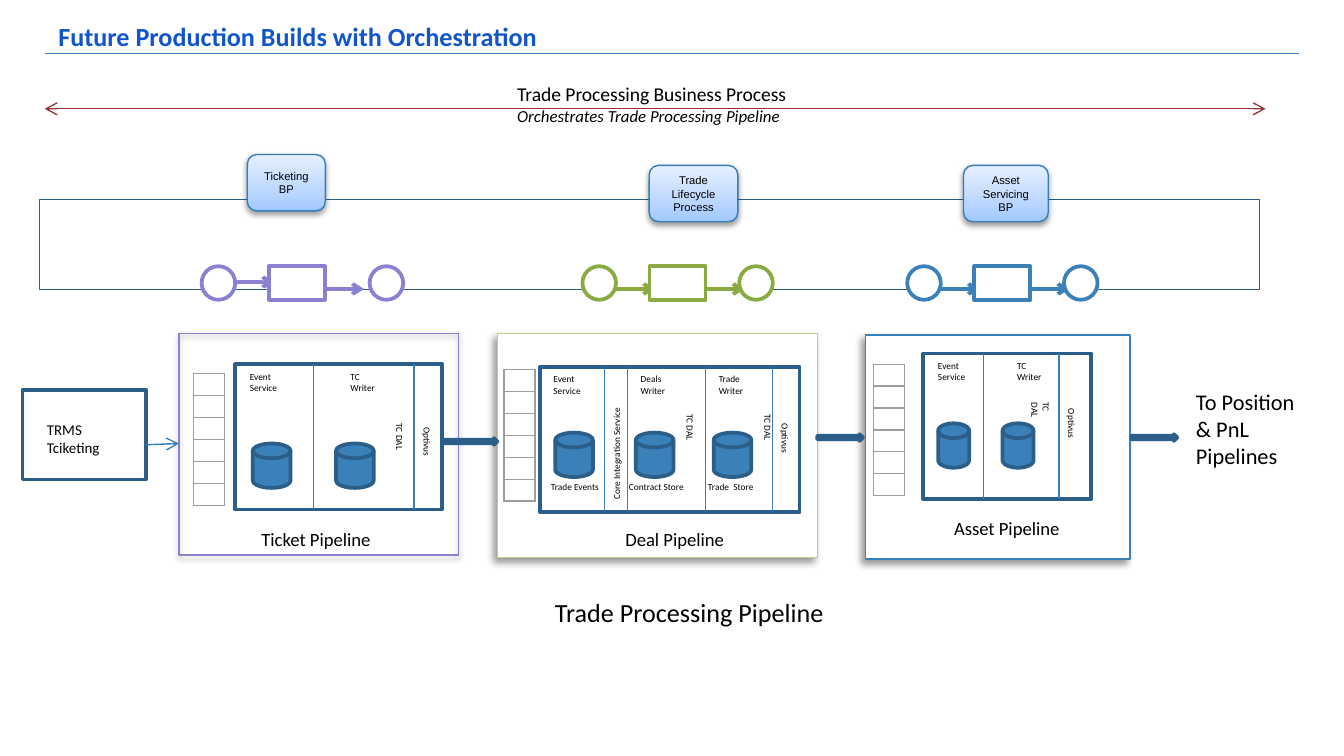
from lxml import etree
from pptx import Presentation
from pptx.dml.color import RGBColor
from pptx.enum.shapes import MSO_CONNECTOR, MSO_SHAPE
from pptx.enum.text import MSO_ANCHOR, MSO_AUTO_SIZE, PP_ALIGN
from pptx.oxml import parse_xml
from pptx.oxml.ns import nsdecls, qn
from pptx.util import Pt

RECT, ROUND = MSO_SHAPE.RECTANGLE, MSO_SHAPE.ROUNDED_RECTANGLE
OVAL, DISK, ARROW = MSO_SHAPE.OVAL, MSO_SHAPE.FLOWCHART_MAGNETIC_DISK, MSO_SHAPE.RIGHT_ARROW
STRAIGHT = MSO_CONNECTOR.STRAIGHT
LEFT, CENTER = PP_ALIGN.LEFT, PP_ALIGN.CENTER
TOP, MIDDLE = MSO_ANCHOR.TOP, MSO_ANCHOR.MIDDLE

BLACK, WHITE = RGBColor(0, 0, 0), RGBColor(255, 255, 255)
TITLE_BLUE = RGBColor(0x11, 0x55, 0xCC)
BLUE, DARK = RGBColor(0x3A, 0x81, 0xBA), RGBColor(0x2B, 0x5F, 0x8A)
LINE_BLUE = RGBColor(0x36, 0x7E, 0xB9)
PURPLE, GREEN = RGBColor(0x8B, 0x81, 0xD2), RGBColor(0x8B, 0xAB, 0x42)
PALE_GREEN, RED = RGBColor(0xBB, 0xD1, 0x89), RGBColor(0x96, 0x33, 0x34)
GRADIENT = [(0, "A0C8FF"), (35, "BCD7FF"), (100, "E5F0FF")]

# Shadows: opacity %, blur, distance, direction
SOFT, DEEP = (38, 3.1, 1.6, 90), (40, 4, 3, 135)

# Pipelines; labels and stores are (text, left, width), vertical texts
# are (text, left, top, width, rotation)
PIPELINES = [
    dict(name="Deal Pipeline", name_box=(306, 279.4, 110.9),
         panel=(266.4, 178.6, 171.4, 120.2), fill=WHITE, line=PALE_GREEN, weight=0.75,
         shadow=DEEP, body=(289.4, 196.6, 139), dividers=[324, 336.2, 378, 414],
         labels=[("Event Service", 289.4, 34.6), ("Deals\nWriter", 336.2, 28.8),
                 ("Trade\nWriter", 378, 28.8)],
         disks=[297.4, 340.6, 382.3], disk_top=231.8, disk_width=20.2,
         stores=[("Trade Events", 288, 42.5), ("Contract Store", 329.8, 46.8),
                 ("Trade  Store", 372.2, 46.8)],
         vertical=[("TC DAL", 355, 222.5, 29, 90), ("TC DAL", 396.7, 222.5, 29, 90),
                   ("Optivus", 404.6, 229, 31.7, 90),
                   ("Core Integration Service", 298.8, 236.2, 63.4, 270)],
         queue=(270, 198)),
    dict(name="Ticket Pipeline", name_box=(113.8, 279.4, 110.9),
         panel=(95.8, 178.6, 149.8, 118.8), fill=None, line=PURPLE, weight=0.75,
         shadow=SOFT, body=(126, 195.1, 110.9), dividers=[167.8, 221.8],
         labels=[("Event Service", 126.7, 35.3), ("TC\nWriter", 180.7, 28.8)],
         disks=[135.4, 180], disk_top=237.6, disk_width=20.2, stores=[],
         vertical=[("TC DAL", 199.4, 227.5, 29, 90), ("Optivus", 211, 232.6, 35.3, 90)],
         queue=(103.7, 200.2)),
    dict(name="Asset Pipeline", name_box=(468, 273.6, 142.6),
         panel=(463.7, 179.3, 141.8, 120.2), fill=WHITE, line=BLUE, weight=1,
         shadow=DEEP, body=(494.6, 189.4, 90), dividers=[527, 567.4],
         labels=[("Event Service", 495.4, 35.3), ("TC\nWriter", 537.8, 28)],
         disks=[502.6, 537.1], disk_top=226.8, disk_width=16.6, stores=[],
         vertical=[("TC DAL", 547.2, 214.6, 25.9, 90), ("Optivus", 558, 221, 31.7, 90)],
         queue=(468, 195.1)),
]
BODY_HEIGHT, DISK_HEIGHT, STORE_TOP = 77.8, 23.8, 254.2
QUEUE_ROWS, QUEUE_WIDTH, QUEUE_ROW = 6, 16.6, 11.75

# Business processes: text, left, top, width
PROCESSES = [("Ticketing BP", 132.5, 82.8, 41.8), ("Trade Lifecycle Process", 347.8, 88.6, 47.5),
             ("Asset Servicing BP", 516.2, 88.6, 45.4)]
# Flows: left, offset of the end circle, height of the first arrow, colour
FLOWS = [(108, 90, 151.2, PURPLE), (312, 84, 154.8, GREEN), (486, 84, 154.8, BLUE)]
# Arrows between pipelines: left, top, width
BLOCK_ARROWS = [(236.9, 234.7, 29.5), (437.8, 232.6, 24.5), (606.2, 232.6, 24.5)]

prs = Presentation()
prs.slide_width, prs.slide_height = Pt(720), Pt(405)
s = prs.slides.add_slide(prs.slide_layouts[5])


def write(tf, lines, align=LEFT, font="Calibri"):
    """Lines are (text, size) or (text, size, italic)."""
    for i, (text, size, *italic) in enumerate(lines):
        p = tf.add_paragraph() if i else tf.paragraphs[0]
        p.alignment = align
        r = p.add_run()
        r.text = text
        r.font.name, r.font.size, r.font.color.rgb = font, Pt(size), BLACK
        if italic:
            r.font.italic = italic[0]


def add_text(lines, x, y, w, h, align=LEFT, rotation=0, wrap=True):
    sp = s.shapes.add_textbox(Pt(x), Pt(y), Pt(w), Pt(h))
    sp.rotation = rotation
    tf = sp.text_frame
    tf.word_wrap = wrap
    tf.auto_size = MSO_AUTO_SIZE.SHAPE_TO_FIT_TEXT
    write(tf, lines, align)


def add_small(text, x, y, w, rotation=0):
    lines = [(line, 5) for line in text.split("\n")]
    add_text(lines, x, y, w, 13.7 if len(lines) == 1 else 19.4, rotation=rotation)


def add_box(kind, x, y, w, h, line, weight, fill=None, shadow=None):
    sp = s.shapes.add_shape(kind, Pt(x), Pt(y), Pt(w), Pt(h))
    sp.shadow.inherit = False
    if fill is None:
        sp.fill.background()
    else:
        sp.fill.solid()
        sp.fill.fore_color.rgb = fill
    sp.line.color.rgb, sp.line.width = line, Pt(weight)
    if shadow:
        alpha, blur, dist, angle = shadow
        sp._element.spPr.find(qn("a:effectLst")).append(parse_xml(
            f'<a:outerShdw {nsdecls("a")} blurRad="{Pt(blur)}" dist="{Pt(dist)}" '
            f'dir="{angle * 60000}" algn="ctr" rotWithShape="0"><a:srgbClr val="000000">'
            f'<a:alpha val="{alpha * 1000}"/></a:srgbClr></a:outerShdw>'))
    return sp


def add_line(x1, y1, x2, y2, color=LINE_BLUE, weight=0.75, ends=()):
    c = s.shapes.add_connector(STRAIGHT, Pt(x1), Pt(y1), Pt(x2), Pt(y2))
    c.line.color.rgb, c.line.width = color, Pt(weight)
    for end in ends:
        etree.SubElement(c.line._get_or_add_ln(), qn("a:" + end), type="arrow")
    etree.SubElement(c._element.spPr, qn("a:effectLst"))


def add_queue(x, y):
    table = s.shapes.add_table(QUEUE_ROWS, 1, Pt(x), Pt(y), Pt(QUEUE_WIDTH),
                               Pt(QUEUE_ROW * QUEUE_ROWS)).table
    table.first_row = table.horz_banding = False
    for row in table.rows:
        row.height = Pt(QUEUE_ROW)
        cell = row.cells[0]
        cell.margin_left = cell.margin_right = cell.margin_top = cell.margin_bottom = 0
        etree.SubElement(cell.text_frame.paragraphs[0]._p, qn("a:endParaRPr"), sz="500")
        tcPr = cell._tc.get_or_add_tcPr()
        for side in ("lnL", "lnR", "lnT", "lnB"):
            tcPr.append(parse_xml(
                f'<a:{side} {nsdecls("a")} w="{Pt(0.75)}"><a:solidFill>'
                f'<a:srgbClr val="9E9E9E"/></a:solidFill></a:{side}>'))
        cell.fill.background()


# Title and rule
title = s.shapes.title
title.left, title.top, title.width, title.height = Pt(24), Pt(3.6), Pt(648), Pt(25.2)
tf = title.text_frame
tf.margin_left = tf.margin_right = tf.margin_top = tf.margin_bottom = Pt(7.2)
tf.vertical_anchor, tf.auto_size = TOP, MSO_AUTO_SIZE.NONE
write(tf, [("Future Production Builds with Orchestration", 14)])
font = tf.paragraphs[0].runs[0].font
font.bold, font.color.rgb = True, TITLE_BLUE
add_line(24, 28.8, 696, 28.8)

# Pipelines
for pipe in PIPELINES:
    add_box(RECT, *pipe["panel"], pipe["line"], pipe["weight"], pipe["fill"], pipe["shadow"])
    x, y, w = pipe["body"]
    add_box(RECT, x, y, w, BODY_HEIGHT, DARK, 2)
    for divider in pipe["dividers"]:
        add_line(divider, y, divider, y + BODY_HEIGHT)
    for text, left, width in pipe["labels"]:
        add_small(text, left, y, width)
    for left in pipe["disks"]:
        add_box(DISK, left, pipe["disk_top"], pipe["disk_width"], DISK_HEIGHT, DARK, 2, BLUE)
    for text, left, width in pipe["stores"]:
        add_small(text, left, STORE_TOP, width)
    for vertical in pipe["vertical"]:
        add_small(*vertical)
    add_queue(*pipe["queue"])
    add_text([(pipe["name"], 10)], *pipe["name_box"], 19.4, CENTER)
add_text([("Trade Processing Pipeline", 14)], 290.2, 316.1, 159.1, 24.5, wrap=False)
for x, y, w in BLOCK_ARROWS:
    add_box(ARROW, x, y, w, 3.6, DARK, 2, BLUE)

# Source and destination
add_box(RECT, 12, 208.8, 66.2, 48.2, DARK, 2)
add_text([("TRMS Tciketing", 8)], 18, 221.8, 54, 26.6)
add_line(78, 238.3, 95.8, 237.6, ends=["tailEnd"])
add_text([("To Position", 12), ("& PnL", 12), ("Pipelines", 12)],
         633.6, 204.5, 68.4, 51.1, wrap=False)

# Business processes on their band
add_box(RECT, 21, 106.6, 653.8, 48.2, DARK, 0.25, WHITE)
for text, x, y, w in PROCESSES:
    sp = add_box(ROUND, x, y, w, 30.2, LINE_BLUE, 0.75, WHITE, SOFT)
    spPr = sp._element.spPr
    stops = "".join(f'<a:gs pos="{pos * 1000}"><a:srgbClr val="{c}"/></a:gs>' for pos, c in GRADIENT)
    spPr.replace(spPr.find(qn("a:solidFill")), parse_xml(
        f'<a:gradFill {nsdecls("a")} rotWithShape="1"><a:gsLst>{stops}</a:gsLst>'
        f'<a:lin ang="{270 * 60000}" scaled="0"/></a:gradFill>'))
    sp.text_frame.word_wrap, sp.text_frame.vertical_anchor = True, MIDDLE
    write(sp.text_frame, [(text, 6)], CENTER, "Arial")

# Flows
for x, end, arrow_y, color in FLOWS:
    add_box(OVAL, x, 142.6, 18, 18, color, 2, WHITE)
    add_line(x + 18, arrow_y, x + 39, arrow_y, color, 2, ["tailEnd"])
    add_box(RECT, x + 36, 142.6, 30, 18, color, 2, WHITE)
    add_line(x + 66, 154.8, x + 87, 154.8, color, 2, ["tailEnd"])
    add_box(OVAL, x + end, 142.6, 18, 18, color, 2, WHITE)

# Overall business process
add_line(24, 58.3, 678, 58.3, RED, ends=["headEnd", "tailEnd"])
add_text([("Trade Processing Business Process", 10.5),
          ("Orchestrates Trade Processing Pipeline", 9, True)], 270, 40.3, 161.3, 31, wrap=False)

prs.save("out.pptx")
